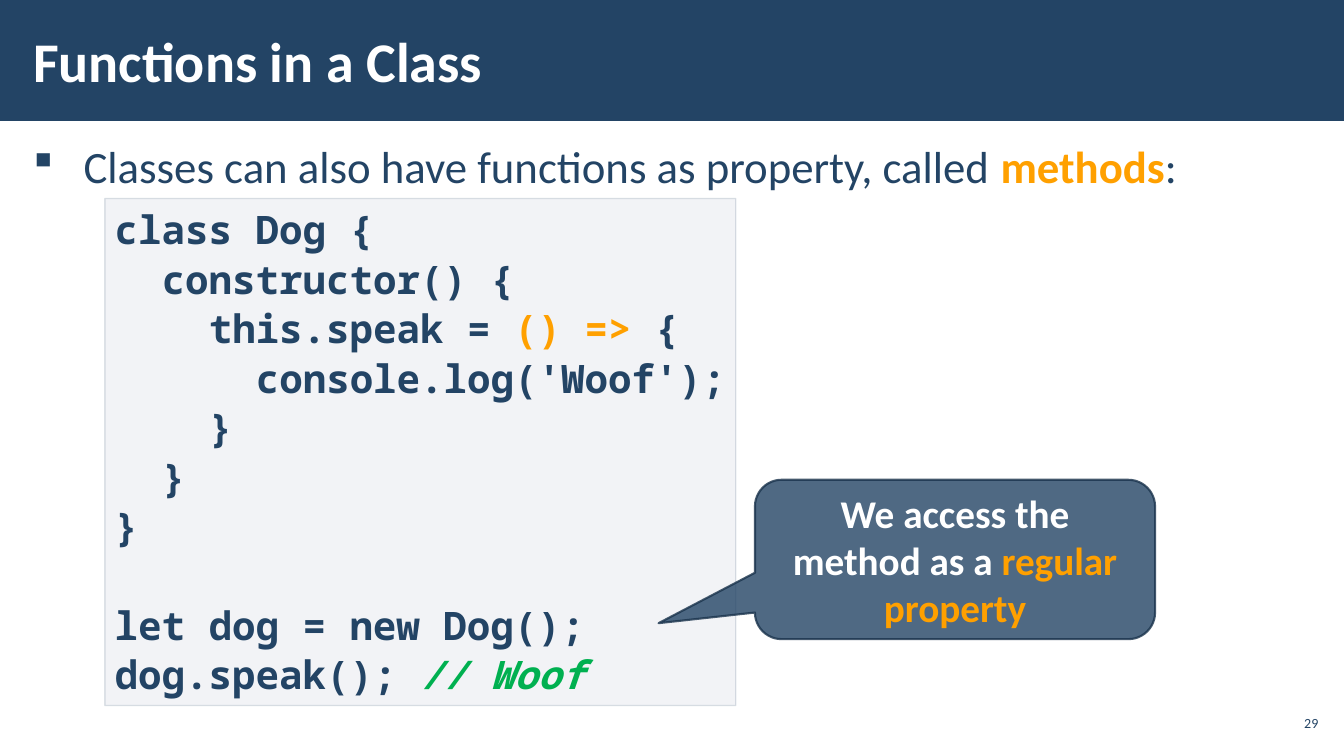
from pptx import Presentation
from pptx.dml.color import RGBColor
from pptx.enum.shapes import MSO_SHAPE as SHAPE
from pptx.enum.text import MSO_ANCHOR as ANCHOR, PP_ALIGN as ALIGN
from pptx.oxml import parse_xml
from pptx.oxml.ns import nsdecls
from pptx.util import Pt

# Content: each run is (text, style)
TITLE = [("Functions in a Class", "title")]
BULLET = [("Classes can also have functions as property, called ", "body"),
          ("methods", "term"), (":", "body")]
# Code lines: (nesting level, blank lines above, runs)
CODE = [
    (0, 0, [("class Dog {", "code")]),
    (1, 0, [("constructor() {", "code")]),
    (2, 0, [("this.speak = ", "code"), ("() =>", "arrow"), (" {", "code")]),
    (3, 0, [("console.log('Woof');", "code")]),
    (2, 0, [("}", "code")]),
    (1, 0, [("}", "code")]),
    (0, 0, [("}", "code")]),
    (0, 1, [("let dog = new Dog();", "code")]),
    (0, 0, [("dog.speak(); ", "code"), ("// Woof", "comment")]),
]
CALLOUT = [("We access the method as a ", "callout"),
           ("regular property", "callout_key")]
PAGE = [("29", "page")]

SANS, MONO = "Calibri", "Noto Sans Mono"
THEME = {
    "navy": "234465", "dark": "1A334C", "panel": "ADB4C3", "white": "FFFFFF",
    "orange": "FFA000", "green": "00B050",
    # font, size, colour, bold, italic
    "title": (SANS, 40, "white", True, False),
    "body": (SANS, 32, "navy", False, False),
    "term": (SANS, 32, "orange", True, False),
    "code": (MONO, 28, "navy", True, False),
    "arrow": (MONO, 28, "orange", True, False),
    "comment": (MONO, 28, "green", True, True),
    "callout": (SANS, 28, "white", True, False),
    "callout_key": (SANS, 28, "orange", True, False),
    "page": (SANS, 10, "navy", False, False),
}
LINE_SPACING = 1.05
CODE_INDENT = 33.6   # two monospace characters
CODE_LINE = 35.3     # height of one code line
BULLET_INDENT = 36

prs = Presentation()
prs.slide_width, prs.slide_height = Pt(960), Pt(540)
s = prs.slides.add_slide(prs.slide_layouts[6])


def colour(name):
    return RGBColor.from_string(THEME[name])


def add_runs(p, runs):
    for text, style in runs:
        font, size, ink, bold, italic = THEME[style]
        r = p.add_run()
        r.text = text
        r.font.name, r.font.size = font, Pt(size)
        r.font.bold, r.font.italic = bold, italic
        r.font.color.rgb = colour(ink)


def set_frame(sp, anchor, side=7.2, edge=3.6):
    tf = sp.text_frame
    tf.word_wrap = True
    tf.vertical_anchor = anchor
    tf.margin_left = tf.margin_right = Pt(side)
    tf.margin_top = tf.margin_bottom = Pt(edge)
    return tf


def add_text(box, runs, anchor, side, edge, align=ALIGN.LEFT):
    sp = s.shapes.add_textbox(*map(Pt, box))
    p = set_frame(sp, anchor, side, edge).paragraphs[0]
    p.alignment = align
    add_runs(p, runs)
    return p


def set_alpha(fill, percent):
    for clr in fill._xPr.iter("{*}srgbClr"):
        clr.append(parse_xml(f'<a:alpha {nsdecls("a")} val="{percent * 1000}"/>'))


def add_box(kind, box, fill, alpha=100, line=None, width=1):
    sp = s.shapes.add_shape(kind, *map(Pt, box))
    sp.shadow.inherit = False
    sp.fill.solid()
    sp.fill.fore_color.rgb = colour(fill)
    if line:
        sp.line.color.rgb = colour(line)
        sp.line.width = Pt(width)
    else:
        sp.line.fill.background()
    if alpha < 100:
        set_alpha(sp.fill, alpha)
    return sp


# Title band
add_box(SHAPE.RECTANGLE, (0, 0, 960, 86.4), "navy")
add_text((15.1, 7.9, 748.8, 69.8), TITLE, ANCHOR.MIDDLE, 8.6, 2.9)

# Bullet
p = add_text((15.1, 94.3, 930.2, 409.7), BULLET, ANCHOR.TOP, 8.6, 2.9)
p.line_spacing = LINE_SPACING
p.space_before = p.space_after = Pt(6)
pPr = p._p.get_or_add_pPr()
pPr.set("marL", str(Pt(BULLET_INDENT)))
pPr.set("indent", str(-Pt(BULLET_INDENT)))
pPr.append(parse_xml(f'<a:buFont {nsdecls("a")} typeface="Wingdings"/>'))
pPr.append(parse_xml(f'<a:buChar {nsdecls("a")} char="§"/>'))

# Page number
add_text((910.8, 504, 33.8, 24.5), PAGE, ANCHOR.MIDDLE, 2.9, 2.9, ALIGN.RIGHT)

# Code panel
sp = add_box(SHAPE.RECTANGLE, (74.9, 141.8, 450.7, 362.2), "panel", 15, "navy")
tf = set_frame(sp, ANCHOR.TOP)
tf.word_wrap = False
for i, (level, gap, runs) in enumerate(CODE):
    p = tf.add_paragraph() if i else tf.paragraphs[0]
    p.alignment = ALIGN.LEFT
    p.line_spacing = LINE_SPACING
    p.space_before = Pt(gap * CODE_LINE)
    p._p.get_or_add_pPr().set("marL", str(Pt(level * CODE_INDENT)))
    add_runs(p, runs)

# Callout
sp = add_box(SHAPE.ROUNDED_RECTANGULAR_CALLOUT, (539.3, 342.7, 285.8, 113.8),
             "navy", 80, "dark", 1.5)
set_alpha(sp.line.fill, 80)
for i, value in enumerate((-0.741, 0.4, 0.167)):
    sp.adjustments[i] = value
p = set_frame(sp, ANCHOR.MIDDLE).paragraphs[0]
p.alignment = ALIGN.CENTER
add_runs(p, CALLOUT)

prs.save("out.pptx")
